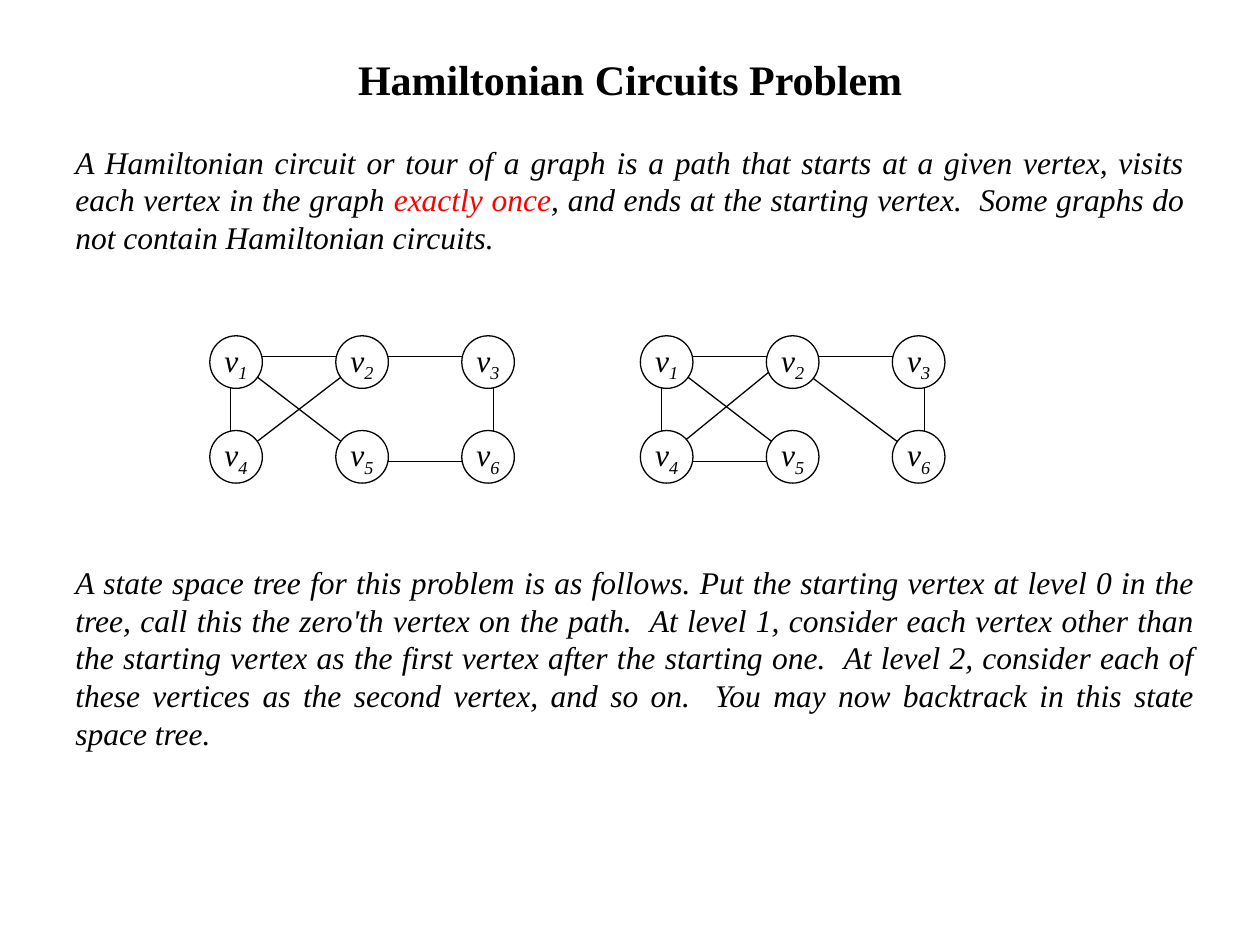
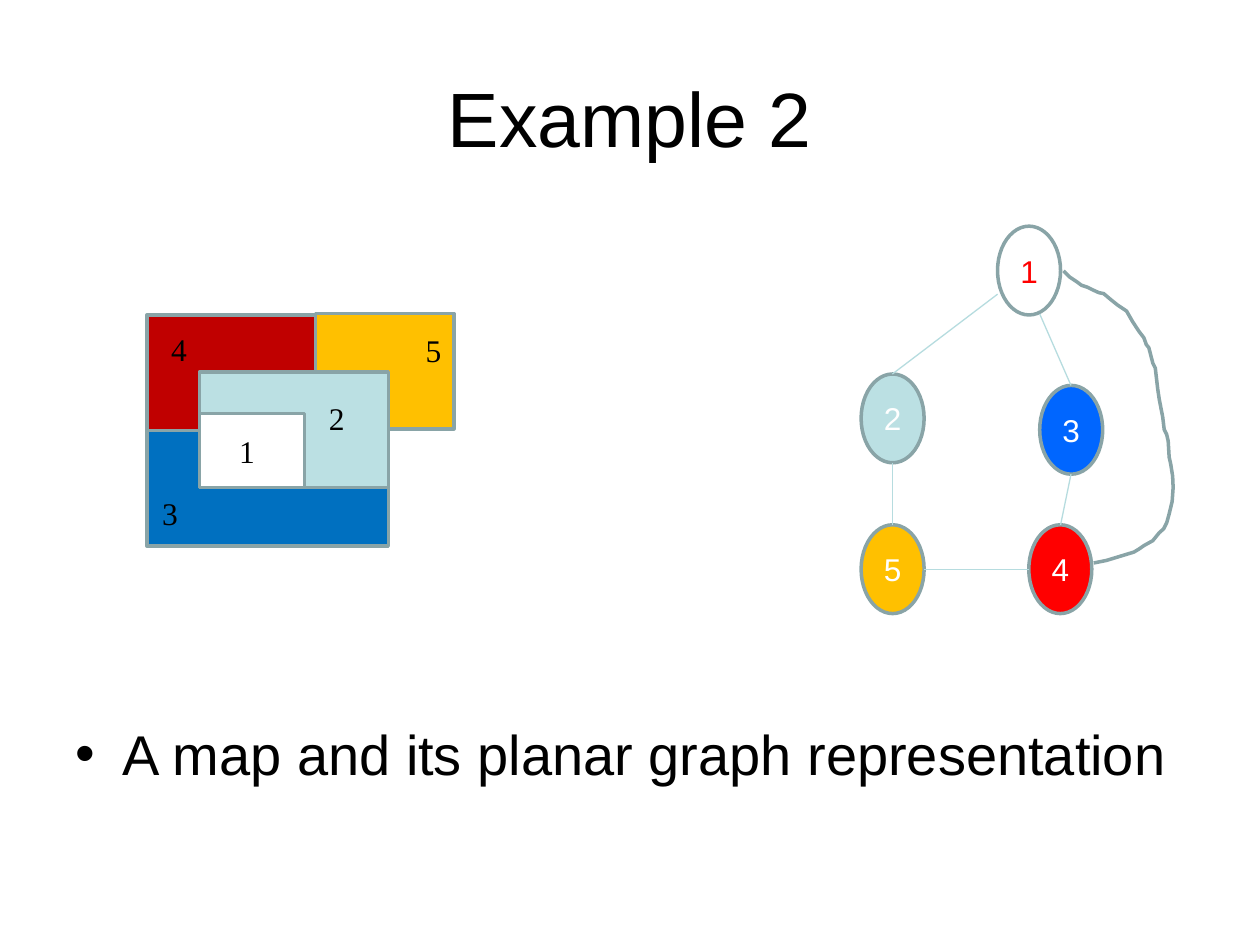
"""Build two slides on Hamiltonian circuits and planar map graphs."""
from dataclasses import dataclass, replace

from lxml.etree import SubElement
from pptx import Presentation
from pptx.dml.color import RGBColor
from pptx.enum.shapes import MSO_CONNECTOR, MSO_SHAPE
from pptx.enum.text import MSO_ANCHOR, MSO_AUTO_SIZE, PP_ALIGN
from pptx.oxml.ns import qn
from pptx.util import Cm, Pt

SERIF = "Times New Roman"
SANS = "Arial"
COLORS = {
    "black": "000000",
    "white": "FFFFFF",
    "red": "FF0000",
    "crimson": "C00000",
    "blue": "0070C0",
    "bright blue": "0066FF",
    "gold": "FFC000",
    "pale teal": "BBE0E3",
    "edge teal": "B6DCDF",
    "outline": "89A4A7",
}


@dataclass(frozen=True)
class Span:
    text: str
    size: int = 18
    font: str = SERIF
    color: str = "black"
    bold: bool = False
    italic: bool = False
    subscript: bool = False


@dataclass(frozen=True)
class Box:
    left: float
    top: float
    width: float
    height: float

    def lengths(self) -> tuple:
        return Cm(self.left), Cm(self.top), Cm(self.width), Cm(self.height)


@dataclass(frozen=True)
class Edge:
    start: int
    end: int
    start_shift: tuple = (0, 0)
    end_shift: tuple = (0, 0)


@dataclass(frozen=True)
class Graph:
    left: float
    edges: tuple


@dataclass(frozen=True)
class Region:
    number: str
    color: str
    box: Box
    label_left: float
    label_top: float


@dataclass(frozen=True)
class MapNode:
    number: str
    left: float
    top: float
    fill: str
    text_color: str = "white"


GRAPH_TOP = 6.77
VERTEX_SIZE = 1.06
COLUMN_STEP = 2.54
ROW_STEP = 1.91
EDGE_COLUMNS = (0.42, 3.18, 5.72)
EDGE_ROWS = (0.42, 2.54)
GRAPHS = (
    Graph(4.23, (Edge(1, 3), Edge(1, 4), Edge(4, 2), Edge(1, 5), Edge(3, 6), Edge(6, 5))),
    Graph(12.91, (
        Edge(1, 3), Edge(1, 4), Edge(4, 5), Edge(1, 5), Edge(3, 6),
        Edge(6, 2, end_shift=(0, 0.21)),
        Edge(4, 2, start_shift=(0.21, -0.21), end_shift=(-0.21, 0)),
    )),
)

DEFINITION = (
    Span("A Hamiltonian circuit or tour of a graph is a path that starts at a given "
         "vertex, visits each vertex in the graph ", italic=True),
    Span("exactly once", color="red", italic=True),
    Span(", and ends at the starting vertex.  Some graphs do not contain "
         "Hamiltonian circuits.", italic=True),
)
STATE_SPACE = (
    Span("A state space tree for this problem is as follows. Put the starting vertex at "
         "level 0 in the tree, call this the zero'th vertex on the path.  At level 1, "
         "consider each vertex other than the starting vertex as the first vertex after "
         "the starting one.  At level 2, consider each of these vertices as the second "
         "vertex, and so on.  You may now backtrack in this state space tree.", italic=True),
)

REGIONS = (
    Region("4", "crimson", Box(2.96, 6.35, 3.81, 2.33), 3.2, 6.53),
    Region("3", "blue", Box(2.96, 8.68, 4.87, 2.33), 3.02, 9.83),
    Region("5", "gold", Box(6.36, 6.32, 2.79, 2.33), 8.33, 6.55),
    Region("2", "pale teal", Box(4.02, 7.5, 3.81, 2.33), 6.38, 7.92),
    Region("1", "white", Box(4.02, 8.34, 2.12, 1.49), 4.57, 8.59),
)
MAP_NODES = (
    MapNode("2", 17.36, 7.54, "pale teal"),
    MapNode("1", 20.11, 4.56, "white", "red"),
    MapNode("3", 20.96, 7.77, "bright blue"),
    MapNode("4", 20.74, 10.58, "red"),
    MapNode("5", 17.36, 10.58, "gold"),
)
MAP_EDGES = (
    ((17.99, 7.54), (20.11, 5.93)),
    ((17.99, 9.33), (17.99, 10.58)),
    ((18.63, 11.48), (20.74, 11.48)),
    ((21.38, 10.58), (21.59, 9.56)),
    ((21.59, 7.77), (20.96, 6.33)),
)
ARC_POINTS = (
    (2144, 546), (2157, 559), (2172, 569), (2180, 575), (2192, 579), (2202, 584),
    (2215, 590), (2225, 592), (2238, 603), (2253, 615), (2271, 627), (2283, 648),
    (2296, 668), (2306, 681), (2311, 695), (2316, 701), (2324, 732), (2329, 742),
    (2334, 785), (2337, 805), (2344, 841), (2347, 866), (2352, 876), (2355, 889),
    (2357, 922), (2360, 935), (2364, 960), (2365, 983), (2363, 1011), (2357, 1036),
    (2352, 1054), (2346, 1066), (2337, 1074), (2324, 1090), (2306, 1100),
    (2296, 1107), (2286, 1113), (2263, 1120), (2230, 1130), (2205, 1135),
)


def rgb(name: str) -> RGBColor:
    return RGBColor.from_string(COLORS[name])


def write(paragraph, spans: tuple, alignment=PP_ALIGN.LEFT) -> None:
    paragraph.alignment = alignment
    for span in spans:
        run = paragraph.add_run()
        run.text = span.text
        run.font.name = span.font
        run.font.size = Pt(span.size)
        run.font.bold = span.bold
        run.font.italic = span.italic
        run.font.color.rgb = rgb(span.color)
        if span.subscript:
            run._r.get_or_add_rPr().set("baseline", "-25000")


def fill_placeholder(shape, box: Box, span: Span, alignment, anchor) -> None:
    shape.left, shape.top, shape.width, shape.height = box.lengths()
    text_frame = shape.text_frame
    text_frame.auto_size = MSO_AUTO_SIZE.NONE
    text_frame.vertical_anchor = anchor
    write(text_frame.paragraphs[0], (span,), alignment)


def add_title(slide, box: Box, span: Span) -> None:
    fill_placeholder(slide.shapes.title, box, span, PP_ALIGN.CENTER, MSO_ANCHOR.MIDDLE)


def add_text(slide, box: Box, spans: tuple, alignment=PP_ALIGN.LEFT, wrap: bool = True) -> None:
    text_frame = slide.shapes.add_textbox(*box.lengths()).text_frame
    text_frame.word_wrap = wrap
    write(text_frame.paragraphs[0], spans, alignment)


def style_outline(shape, color: str, width: float) -> None:
    shape.shadow.inherit = False
    shape.line.color.rgb = rgb(color)
    shape.line.width = Pt(width)


def add_filled(slide, kind, box: Box, fill: str, outline: str = "outline",
               width: float = 2, spans: tuple = (), wrap: bool = True) -> None:
    shape = slide.shapes.add_shape(kind, *box.lengths())
    style_outline(shape, outline, width)
    shape.fill.solid()
    shape.fill.fore_color.rgb = rgb(fill)
    if spans:
        shape.text_frame.word_wrap = wrap
        shape.text_frame.vertical_anchor = MSO_ANCHOR.MIDDLE
        write(shape.text_frame.paragraphs[0], spans, PP_ALIGN.CENTER)


def add_line(slide, start: tuple, end: tuple, color: str) -> None:
    connector = slide.shapes.add_connector(
        MSO_CONNECTOR.STRAIGHT, Cm(start[0]), Cm(start[1]), Cm(end[0]), Cm(end[1]))
    connector.line.color.rgb = rgb(color)
    connector.line.width = Pt(0.75)
    SubElement(connector._element.spPr, qn("a:effectLst"))


def edge_point(graph: Graph, vertex: int, shift: tuple) -> tuple:
    row, column = divmod(vertex - 1, len(EDGE_COLUMNS))
    return (graph.left + EDGE_COLUMNS[column] + shift[0],
            GRAPH_TOP + EDGE_ROWS[row] + shift[1])


def add_graph(slide, graph: Graph) -> None:
    for edge in graph.edges:
        add_line(slide, edge_point(graph, edge.start, edge.start_shift),
                 edge_point(graph, edge.end, edge.end_shift), "black")
    letter = Span("v", italic=True)
    for vertex in range(1, 7):
        row, column = divmod(vertex - 1, len(EDGE_COLUMNS))
        box = Box(graph.left + column * COLUMN_STEP, GRAPH_TOP + row * ROW_STEP,
                  VERTEX_SIZE, VERTEX_SIZE)
        index = replace(letter, text=str(vertex), subscript=True)
        add_filled(slide, MSO_SHAPE.OVAL, box, "white", "black", 0.75,
                   (letter, index), wrap=False)


def add_arc(slide) -> None:
    builder = slide.shapes.build_freeform(*ARC_POINTS[0], scale=Cm(0.01))
    builder.add_line_segments(ARC_POINTS[1:], close=False)
    arc = builder.convert_to_shape()
    arc.fill.background()
    style_outline(arc, "outline", 2)


def build_circuits_slide(presentation) -> None:
    slide = presentation.slides.add_slide(presentation.slide_layouts[5])
    add_title(slide, Box(1.91, 0.85, 21.59, 1.48),
              Span("Hamiltonian Circuits Problem", 24, bold=True))
    add_text(slide, Box(1.27, 2.75, 22.86, 2.54), DEFINITION, PP_ALIGN.JUSTIFY)
    for graph in GRAPHS:
        add_graph(slide, graph)
    add_text(slide, Box(1.27, 11.22, 23.07, 4.06), STATE_SPACE, PP_ALIGN.JUSTIFY)


def build_map_slide(presentation) -> None:
    slide = presentation.slides.add_slide(presentation.slide_layouts[1])
    add_title(slide, Box(1.27, 0.76, 22.86, 3.18), Span("Example 2", 44, SANS))
    fill_placeholder(slide.placeholders[1], Box(1.27, 14.38, 22.86, 2.64),
                     Span("A map and its planar graph representation", 32, SANS),
                     PP_ALIGN.LEFT, MSO_ANCHOR.TOP)
    for region in REGIONS:
        add_filled(slide, MSO_SHAPE.RECTANGLE, region.box, region.color)
    for node in MAP_NODES:
        add_filled(slide, MSO_SHAPE.OVAL, Box(node.left, node.top, 1.27, 1.79), node.fill,
                   spans=(Span(node.number, font=SANS, color=node.text_color),))
    for start, end in MAP_EDGES:
        add_line(slide, start, end, "edge teal")
    add_arc(slide)
    for region in REGIONS:
        add_text(slide, Box(region.label_left, region.label_top, 0.81, 1.02),
                 (Span(region.number),), wrap=False)


def main() -> None:
    presentation = Presentation()
    presentation.slide_width = Cm(25.4)
    presentation.slide_height = Cm(19.05)
    build_circuits_slide(presentation)
    build_map_slide(presentation)
    presentation.save("out.pptx")


if __name__ == "__main__":
    main()
